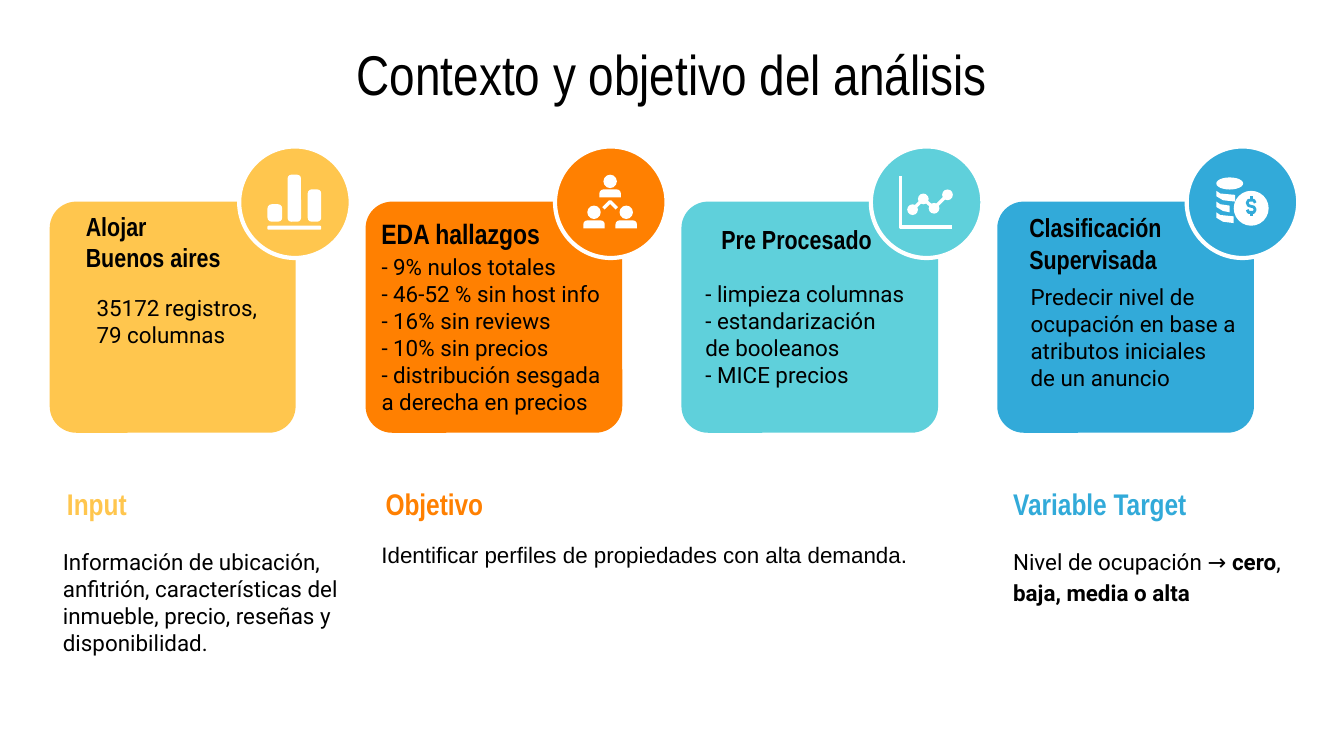
"""Build the slide on the context and objective of the analysis."""
from pptx import Presentation
from pptx.dml.color import RGBColor
from pptx.enum.shapes import MSO_SHAPE as Shape
from pptx.enum.text import MSO_ANCHOR as Anchor, PP_ALIGN as Align
from pptx.util import Inches, Pt

BLACK = RGBColor(0x00, 0x00, 0x00)
WHITE = RGBColor(0xFF, 0xFF, 0xFF)
YELLOW = RGBColor(0xFF, 0xC6, 0x4E)
ORANGE = RGBColor(0xFF, 0x80, 0x01)
TURQUOISE = RGBColor(0x5F, 0xD0, 0xDB)
BLUE = RGBColor(0x32, 0xAA, 0xD9)

SLIDE_WIDTH = 10
SLIDE_HEIGHT = SLIDE_WIDTH * 9 / 16
CARD_LEFT, CARD_TOP, CARD_PITCH, CARD_HEIGHT = 0.37, 1.5, 2.35, 1.72
BADGE_OFFSET, BADGE_TOP, BADGE_SIZE, ICON_INSET = 1.41, 1.09, 0.83, 0.21

NARROW, BODY = "Arial Narrow", "Roboto"
TITLE = {"name": NARROW, "size": Pt(30)}
HEADING = {"name": NARROW, "size": Pt(14), "bold": True}
LARGE_HEADING = {**HEADING, "size": Pt(15)}
LABEL = {**HEADING, "size": Pt(16)}
PLAIN = {"name": BODY, "size": Pt(12)}
ARIAL = {"name": "Arial", "size": Pt(12)}

CARDS = [(YELLOW, 1.83), (ORANGE, 1.91), (TURQUOISE, 1.91), (BLUE, 1.91)]

CARD_TEXTS = [
    (0, 0.17, 1.64, 1.23, 0.31, HEADING, ["Alojar", "Buenos aires"]),
    (0, 0.25, 1.98, 1.52, 0.82, PLAIN, ["35172 registros, 79 columnas"]),
    (1, 0.02, 1.58, 1.83, 0.31, LARGE_HEADING, ["EDA hallazgos"]),
    (1, 0.02, 1.98, 1.91, 1.01, PLAIN, [
        "- 9% nulos totales", "- 46-52 % sin host info", "- 16% sin reviews",
        "- 10% sin precios", "- distribución sesgada a derecha en precios"]),
    (2, 0.2, 1.6, 1.33, 0.36, HEADING, ["Pre Procesado"]),
    (2, 0.08, 1.8, 1.68, 1.37, PLAIN, [
        "- limpieza columnas", "- estandarización de booleanos", "- MICE precios"]),
    (3, 0.14, 1.63, 1.41, 0.36, HEADING, ["Clasificación Supervisada"]),
    (3, 0.15, 2.1, 2.04, 0.82, PLAIN, [
        "Predecir nivel de ocupación en base a atributos iniciales", "de un anuncio"]),
]

LABELS = [
    (0, 0.03, "Input", YELLOW),
    (1, 0.05, "Objetivo", ORANGE),
    (3, 0.02, "Variable Target", BLUE),
]
INPUT_TEXT = [
    "Información de ubicación, anfitrión, características del inmueble, precio, reseñas y",
    "disponibilidad.",
]
GOAL_TEXT = ["Identificar perfiles de propiedades con alta demanda."]
TARGET_RUNS = [("Nivel de ocupación → ", False), ("cero", True), (", ", False),
               ("baja, media o alta", True)]

BARS = [(0, 0.38, 0.4, 0.03), (0, 0.22, 0.11, 0.13),
        (0.15, 0, 0.1, 0.35), (0.3, 0.11, 0.1, 0.24)]
PEOPLE = [(0.12, 0), (0, 0.23), (0.24, 0.23)]
CHEVRON = [(0.15, 0.25), (0.2, 0.2), (0.25, 0.25)]
AXES = [(0.01, 0.01), (0.01, 0.39), (0.39, 0.39)]
TREND = [(0.1, 0.26), (0.18, 0.18), (0.26, 0.25), (0.36, 0.15)]
COIN_BANDS = [(0.12, 0.14), (0.2, 0.1), (0.28, 0.13)]
DOLLAR = [
    [(0.3, 0.21), (0.29, 0.19), (0.25, 0.19), (0.24, 0.21), (0.25, 0.23),
     (0.29, 0.24), (0.3, 0.26), (0.29, 0.28), (0.25, 0.28), (0.24, 0.26)],
    [(0.27, 0.16), (0.27, 0.19)],
    [(0.27, 0.28), (0.27, 0.31)],
]


def card_left(column):
    return CARD_LEFT + column * CARD_PITCH


def icon_left(column):
    return card_left(column) + BADGE_OFFSET + ICON_INSET


def icon_top():
    return BADGE_TOP + ICON_INSET


def add_filled(slide, kind, left, top, width, height, color, adjustment=None):
    shape = slide.shapes.add_shape(kind, *map(Inches, (left, top, width, height)))
    shape.shadow.inherit = False
    shape.fill.solid()
    shape.fill.fore_color.rgb = color
    shape.line.fill.background()
    if adjustment is not None:
        shape.adjustments[0] = adjustment
    return shape


def add_part(slide, column, kind, left, top, width, height, adjustment=None):
    add_filled(slide, kind, icon_left(column) + left, icon_top() + top,
               width, height, WHITE, adjustment)


def add_path(slide, column, points, color=WHITE, weight=1.8, closed=False):
    places = [(Inches(icon_left(column) + x), Inches(icon_top() + y)) for x, y in points]
    builder = slide.shapes.build_freeform(*places[0], scale=1.0)
    builder.add_line_segments(places[1:], close=closed)
    shape = builder.convert_to_shape()
    shape.shadow.inherit = False
    if closed:
        shape.fill.solid()
        shape.fill.fore_color.rgb = color
        shape.line.fill.background()
    else:
        shape.fill.background()
        shape.line.color.rgb = color
        shape.line.width = Pt(weight)


def add_run(paragraph, text, style, color=BLACK):
    run = paragraph.add_run()
    run.text = text
    for name, value in style.items():
        setattr(run.font, name, value)
    run.font.color.rgb = color


def add_text(slide, left, top, width, height, style, lines, color=BLACK,
             anchor=Anchor.MIDDLE, margin=0.05, align=Align.LEFT):
    box = slide.shapes.add_textbox(*map(Inches, (left, top, width, height)))
    frame = box.text_frame
    settings = {"word_wrap": True, "vertical_anchor": anchor,
                "margin_left": Inches(0.1), "margin_right": Inches(0.1),
                "margin_top": Inches(margin), "margin_bottom": Inches(margin)}
    for name, value in settings.items():
        setattr(frame, name, value)
    for index, line in enumerate(lines):
        paragraph = frame.add_paragraph() if index else frame.paragraphs[0]
        paragraph.alignment = align
        add_run(paragraph, line, style, color)
    return frame


def add_cards(slide):
    for column, (color, width) in enumerate(CARDS):
        left = card_left(column)
        add_filled(slide, Shape.ROUNDED_RECTANGLE, left, CARD_TOP,
                   width, CARD_HEIGHT, color, 0.115)
        badge = add_filled(slide, Shape.OVAL, left + BADGE_OFFSET, BADGE_TOP,
                           BADGE_SIZE, BADGE_SIZE, color)
        badge.line.color.rgb = WHITE
        badge.line.width = Pt(2.25)
    for column, offset, top, width, height, style, lines in CARD_TEXTS:
        add_text(slide, card_left(column) + offset, top, width, height, style, lines)


def add_icons(slide):
    for bar in BARS:
        add_part(slide, 0, Shape.ROUNDED_RECTANGLE, *bar, 0.28)
    for left, top in PEOPLE:
        add_part(slide, 1, Shape.OVAL, left + 0.03, top, 0.1, 0.1)
        add_part(slide, 1, Shape.ROUND_2_SAME_RECTANGLE, left, top + 0.11, 0.16, 0.06, 0.5)
    add_path(slide, 1, CHEVRON)
    add_path(slide, 2, AXES)
    add_path(slide, 2, TREND)
    for x, y in TREND:
        add_part(slide, 2, Shape.OVAL, x - 0.04, y - 0.04, 0.08, 0.08)
    add_part(slide, 3, Shape.OVAL, 0.01, 0.02, 0.2, 0.09)
    for top, width in COIN_BANDS:
        outline = [(0, 0), (0.03, 0.02), (width, 0.03), (width, 0.08), (0.05, 0.07), (0, 0.04)]
        add_path(slide, 3, [(0.01 + x, top + y) for x, y in outline], closed=True)
    add_part(slide, 3, Shape.OVAL, 0.14, 0.12, 0.26, 0.26)
    for stroke in DOLLAR:
        add_path(slide, 3, stroke, BLUE, 1.5)


def add_summary(slide):
    for column, offset, text, color in LABELS:
        add_text(slide, card_left(column) + offset, 3.59, 1.52, 0.31,
                 LABEL, [text], color, margin=0.1)
    add_text(slide, card_left(0), 3.98, 2.53, 1.21, PLAIN, INPUT_TEXT,
             anchor=Anchor.TOP, margin=0.1)
    add_text(slide, card_left(1) + 0.02, 3.93, 4.24, 0.4, ARIAL, GOAL_TEXT,
             anchor=Anchor.TOP, margin=0.1)
    frame = add_text(slide, card_left(3) + 0.02, 3.92, 2.3, 0.72, PLAIN, [], margin=0.1)
    paragraph = frame.paragraphs[0]
    paragraph.line_spacing = 1.15
    for text, bold in TARGET_RUNS:
        add_run(paragraph, text, {**PLAIN, "bold": bold})


def main():
    presentation = Presentation()
    presentation.slide_width = Inches(SLIDE_WIDTH)
    presentation.slide_height = Inches(SLIDE_HEIGHT)
    slide = presentation.slides.add_slide(presentation.slide_layouts[6])
    add_text(slide, 0.5, 0.28, 9, 0.53, TITLE, ["Contexto y objetivo del análisis"],
             margin=0.1, align=Align.CENTER)
    add_cards(slide)
    add_icons(slide)
    add_summary(slide)
    presentation.save("out.pptx")


if __name__ == "__main__":
    main()
